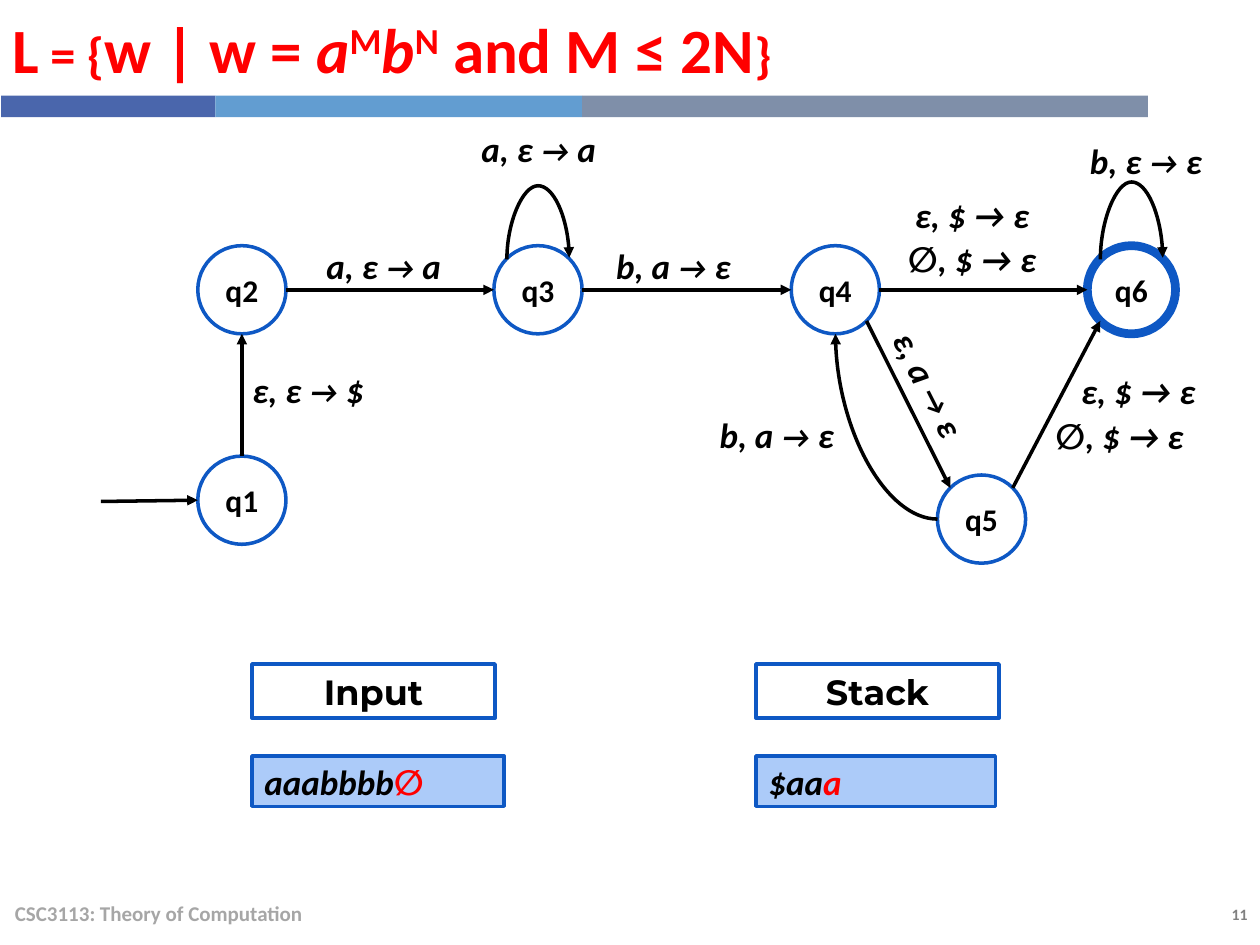
from math import cos, radians, sin

from lxml.etree import SubElement
from pptx import Presentation
from pptx.dml.color import RGBColor
from pptx.enum.shapes import MSO_CONNECTOR as Link, MSO_SHAPE as Preset
from pptx.enum.text import MSO_ANCHOR as Anchor, PP_ALIGN as Align
from pptx.oxml.ns import qn
from pptx.util import Inches, Pt

COLORS = {
    "ink": "000000", "red": "FF0000", "line": "0E58C4", "paper": "FFFFFF",
    "tape": "ACCBF9", "footer": "A6A6A6", "number": "808080",
    "bar1": "4A66AC", "bar2": "629DD1", "bar3": "7F8FA9",
}
DIAMETER = 0.7
TOP_ROW = 1.95
STATES = {
    "q1": (1.57, 3.62), "q2": (1.57, TOP_ROW), "q3": (3.92, TOP_ROW),
    "q5": (7.44, 3.77), "q4": (6.28, TOP_ROW), "q6": (8.63, TOP_ROW),
}
# Connection sites of an ellipse, counted anticlockwise from the top
TOP, TOP_LEFT, LEFT, BOTTOM_LEFT, BOTTOM, BOTTOM_RIGHT, RIGHT, TOP_RIGHT = range(8)
ARROWS = [
    ("q1", TOP, "q2", BOTTOM), ("q2", RIGHT, "q3", LEFT),
    ("q3", RIGHT, "q4", LEFT), ("q4", RIGHT, "q6", LEFT),
    ("q5", TOP_RIGHT, "q6", BOTTOM_LEFT), ("q4", BOTTOM_RIGHT, "q5", TOP_LEFT),
]
# Text, left, top, rotation, arrow size
LABELS = [
    ("a, ε → a", 2.33, 1.87, 0, 18), ("b, a → ε", 4.63, 1.87, 0, 18),
    ("a, ε → a", 3.56, 0.94, 0, 18), ("b, ε → ε", 8.38, 1.03, 0, 18),
    ("ε, ε → $", 1.73, 2.85, 0, 18), ("ε, a → ε", 6.66, 2.81, 63.2, 18),
    ("b, a → ε", 5.45, 3.21, 0, 18), ("ε, $ → ε", 7, 1.46, 0, 20),
    ("∅, $ → ε", 7, 1.81, 0, 20), ("ε, $ → ε", 8.32, 2.86, 0, 20),
    ("∅, $ → ε", 8.17, 3.22, 0, 20),
]


def rgb(name):
    return RGBColor.from_string(COLORS[name])


def write(shape, spans, size, color="ink", font="Calibri", align=Align.LEFT,
          italic=False, anchor=Anchor.MIDDLE):
    """Fill a shape with one bold paragraph and return its spans."""
    frame = shape.text_frame
    frame.word_wrap = True
    frame.vertical_anchor = anchor
    para = frame.paragraphs[0]
    para.alignment = align
    para.font.name, para.font.size = font, Pt(size)
    para.font.bold, para.font.italic = True, italic
    para.font.color.rgb = rgb(color)
    for text in spans:
        para.add_run().text = text
    return para.runs


def add_text(page, box, spans, size, **style):
    shape = page.shapes.add_textbox(*map(Inches, box))
    return shape, write(shape, spans, size, **style)


def add_block(page, preset, box, fill, line=None, weight=2):
    shape = page.shapes.add_shape(preset, *map(Inches, box))
    shape.shadow.inherit = False
    shape.fill.solid()
    shape.fill.fore_color.rgb = rgb(fill)
    if line:
        shape.line.color.rgb = rgb(line)
        shape.line.width = Pt(weight)
    else:
        shape.line.fill.background()
    return shape


def add_header(page, left, top):
    title, spans = add_text(
        page, (left, top, 9.1, 0.76),
        ["L = {", "w | w = ", "a", "M", "b", "N", " and M ≤ 2N", "}"], 36, color="red")
    title.text_frame.paragraphs[0].space_before = Pt(6)
    for span in (spans[0], spans[-1]):
        span.font._element.set("cap", "small")
    for span in (spans[2], spans[4]):
        span.font.italic = True
    for span in (spans[3], spans[5]):
        span.font._element.set("baseline", "30000")
    x = left + 0.01
    for color, width in (("bar1", 1.7), ("bar2", 2.91), ("bar3", 4.49)):
        add_block(page, Preset.RECTANGLE, (x, top + 0.76, width, 0.17), color)
        x += width


def add_footer(page, left, top):
    add_text(page, (left, top, 6.7, 0.4), ["CSC3113: Theory of Computation"], 12,
             color="footer")
    add_text(page, (8.73, top + 0.08, 1.27, 0.25), ["11"], 9, color="number",
             align=Align.RIGHT, anchor=Anchor.TOP)


def site_point(state, site):
    angle = radians(90 + 45 * site)
    radius = DIAMETER / 2
    left, top = STATES[state]
    return left + radius * (1 + cos(angle)), top + radius * (1 - sin(angle))


def add_arrow(page, start, end, kind=Link.STRAIGHT, tip="tailEnd"):
    arrow = page.shapes.add_connector(kind, *map(Inches, (*start, *end)))
    arrow.line.color.rgb = rgb("ink")
    arrow.line.width = Pt(2)
    SubElement(arrow.line._get_or_add_ln(), qn("a:" + tip), type="triangle")
    SubElement(arrow.element.spPr, qn("a:effectLst"))
    return arrow


def glue(arrow, begin, begin_site, end, end_site):
    holder = arrow.element.find(".//" + qn("p:cNvCxnSpPr"))
    for tag, state, site in (("stCxn", begin, begin_site), ("endCxn", end, end_site)):
        SubElement(holder, qn("a:" + tag), id=str(state.shape_id), idx=str(site))


def turn_curve(arrow, start, end, preset, rotation, flips, depth):
    """Lay a curve in a quarter-turned frame, so that it leaves vertically."""
    height = abs(end[0] - start[0])
    arrow.left = Inches((start[0] + end[0] - depth) / 2)
    arrow.top = Inches((start[1] + end[1] - height) / 2)
    arrow.width, arrow.height = Inches(depth), Inches(height)
    frame = arrow.element.spPr.find(qn("a:xfrm"))
    for flip in ("flipH", "flipV"):
        frame.set(flip, str(int(flip in flips)))
    frame.set("rot", str(rotation * 60000))
    geometry = arrow.element.spPr.find(qn("a:prstGeom"))
    geometry.set("prst", preset)
    return geometry


def add_loop(page, circles, state, rise):
    start, end = site_point(state, TOP_LEFT), site_point(state, TOP_RIGHT)
    arrow = add_arrow(page, start, end, Link.CURVE)
    depth = Pt(1).inches
    geometry = turn_curve(arrow, start, end, "curvedConnector3", 90,
                          ("flipH", "flipV"), depth)
    guides = geometry.find(qn("a:avLst"))
    if guides is None:
        guides = SubElement(geometry, qn("a:avLst"))
    SubElement(guides, qn("a:gd"), name="adj1", fmla=f"val {round(rise / depth * 100000)}")
    glue(arrow, circles[state], TOP_LEFT, circles[state], TOP_RIGHT)


def add_automaton(page):
    circles = {}
    for name, corner in STATES.items():
        circle = add_block(page, Preset.OVAL, (*corner, DIAMETER, DIAMETER), "paper",
                           "line", 5 if name == "q6" else 2)
        write(circle, [name], 18, align=Align.CENTER)
        circle.text_frame.margin_left = circle.text_frame.margin_right = 0
        circles[name] = circle

    add_arrow(page, (0.8, 3.98), site_point("q1", LEFT))
    for begin, begin_site, end, end_site in ARROWS:
        arrow = add_arrow(page, site_point(begin, begin_site), site_point(end, end_site))
        glue(arrow, circles[begin], begin_site, circles[end], end_site)

    start, end = site_point("q4", BOTTOM), site_point("q5", LEFT)
    back = add_arrow(page, start, end, Link.CURVE, "headEnd")
    turn_curve(back, start, end, "curvedConnector2", 270, ("flipH",), end[1] - start[1])
    glue(back, circles["q4"], BOTTOM, circles["q5"], LEFT)
    add_loop(page, circles, "q3", 0.59)
    add_loop(page, circles, "q6", 0.62)

    for text, left, top, rotation, arrow_size in LABELS:
        before, after = text.split("→")
        label, spans = add_text(page, (left, top, 1.43, 0.48), [before, "→", after], 20,
                                align=Align.CENTER, italic=True)
        spans[1].font.size = Pt(arrow_size)
        label.rotation = rotation


def add_store(page, left, top, heading, content, current, width):
    """Place a heading box and the tape below it, its current symbol in red."""
    head = add_block(page, Preset.RECTANGLE, (left, top, 1.93, 0.43), "paper", "line")
    write(head, [heading], 20, font="Montserrat", align=Align.CENTER)
    tape = add_block(page, Preset.RECTANGLE, (left, top + 0.73, width, 0.4), "tape", "line")
    spans = write(tape, [content, current], 20, italic=True)
    spans[1].font.color.rgb = rgb("red")


def main():
    deck = Presentation()
    deck.slide_width, deck.slide_height = Inches(10), Inches(7.5)
    page = deck.slides.add_slide(deck.slide_layouts[6])
    add_header(page, 0, 0)
    add_automaton(page)
    add_store(page, 2, 5.27, "Input", "aaabbbb", "∅", 2)
    add_store(page, 6, 5.27, "Stack", "$aa", "a", 1.9)
    add_footer(page, 0.02, 7.05)
    deck.save("out.pptx")


if __name__ == "__main__":
    main()
